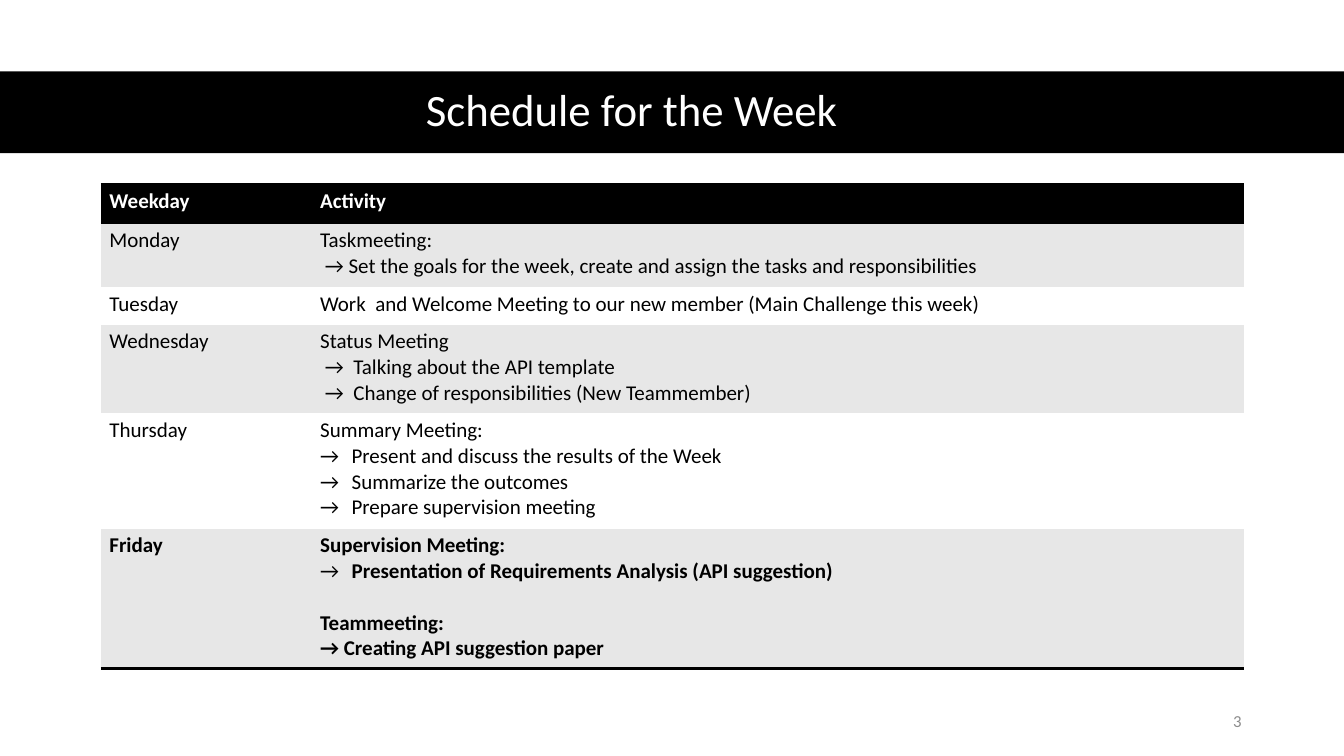
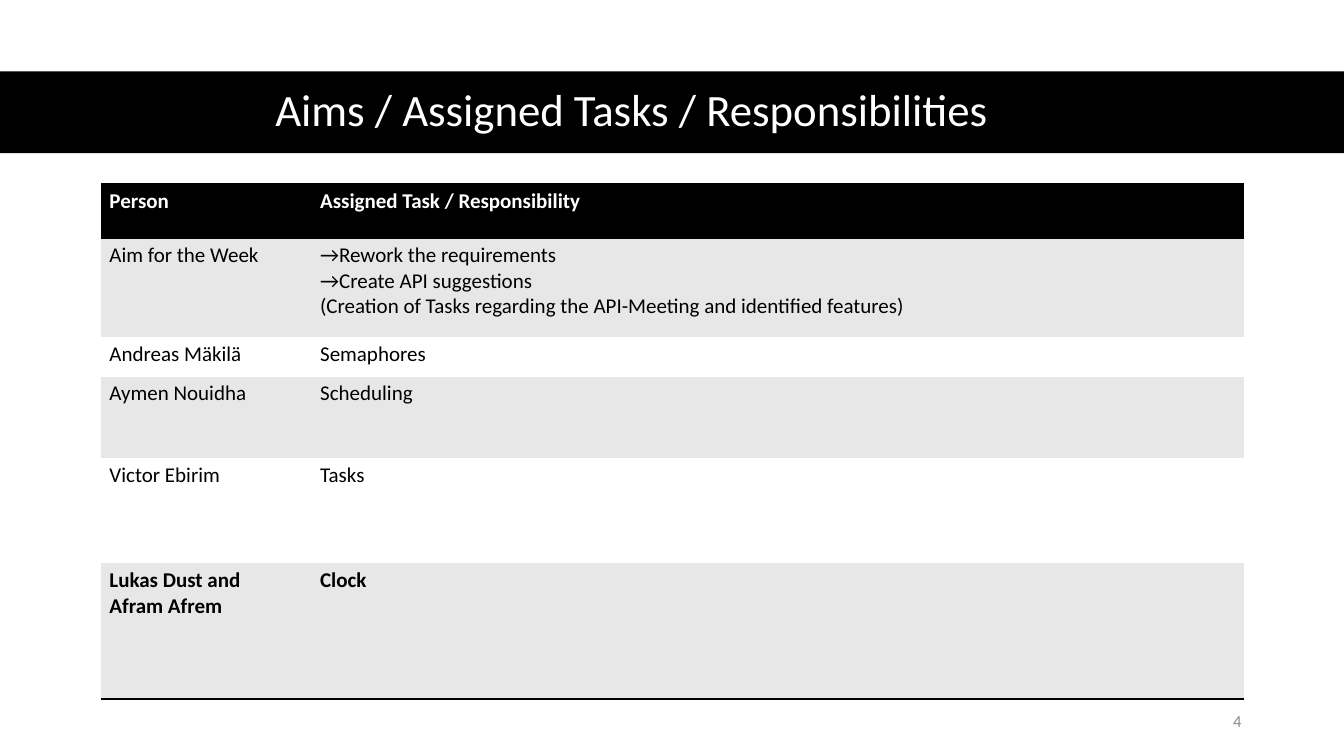
from pptx import Presentation
from pptx.dml.color import RGBColor
from pptx.enum.shapes import MSO_SHAPE as Shape
from pptx.enum.text import MSO_ANCHOR as Anchor, PP_ALIGN as Align
from pptx.oxml.ns import qn
from pptx.util import Pt
from lxml.etree import SubElement

COLORS = {"black": "000000", "white": "FFFFFF", "band": "E7E7E7", "number": "8C8C8C"}
FONT = "Calibri"
NO_STYLE = "{2D5ABB26-0587-4C30-8999-92F81FD0307C}"
W, H = 960, 540
COLUMNS = (150.5, 666)


def rgb(name):
    return RGBColor.from_string(COLORS[name])


def write(tf, lines, size=15, color="black", bold=False, align=Align.LEFT,
          line_spacing=None, after=None):
    """Write one paragraph per line; a line is a string or a dict from item()."""
    for i, line in enumerate(lines):
        if isinstance(line, str):
            line = item(line)
        p = tf.paragraphs[0] if i == 0 else tf.add_paragraph()
        p.alignment = align
        if line_spacing:
            p.line_spacing = line_spacing
        if line["before"]:
            p.space_before = Pt(line["before"])
        if after:
            p.space_after = Pt(after)
        if line["bullet"]:
            add_bullet(p, line["bullet"])
        r = p.add_run()
        r.text = line["text"]
        r.font.name, r.font.size, r.font.bold = FONT, Pt(size), bold
        r.font.color.rgb = rgb(color)


def item(text, bullet=None, before=0):
    return {"text": text, "bullet": bullet, "before": before}


def arrow(text):
    return item(text, bullet="→")


def add_bullet(p, char, indent=22.5):
    pPr = p._p.get_or_add_pPr()
    pPr.set("marL", str(Pt(indent)))
    pPr.set("indent", str(-Pt(indent)))
    SubElement(pPr, qn("a:buFont"), typeface=FONT)
    SubElement(pPr, qn("a:buChar"), char=char)


def add_border(cell, side, width=2):
    ln = SubElement(cell._tc.get_or_add_tcPr(), qn("a:ln" + side), w=str(Pt(width)))
    fill = SubElement(ln, qn("a:solidFill"))
    SubElement(fill, qn("a:srgbClr"), val=COLORS["black"])


class Deck:
    def __init__(self):
        self.prs = Presentation()
        self.prs.slide_width, self.prs.slide_height = Pt(W), Pt(H)
        self.s = None

    def slide(self, title, number):
        self.s = self.prs.slides.add_slide(self.prs.slide_layouts[6])
        self.band(0, 51, W, 58.5)
        # The wide right inset sets the title left of the centre
        self.text(44, 50.5, 882.5, 58.5, title, right=75, size=32, color="white",
                  align=Align.CENTER, line_spacing=0.9)
        self.text(678, 500.5, 216, 28.8, str(number), size=12, color="number",
                  align=Align.RIGHT, after=6)

    def band(self, x, y, w, h):
        sp = self.s.shapes.add_shape(Shape.RECTANGLE, Pt(x), Pt(y), Pt(w), Pt(h))
        sp.shadow.inherit = False
        sp.fill.solid()
        sp.fill.fore_color.rgb = rgb("black")
        sp.line.fill.background()

    def text(self, x, y, w, h, text, right=7.2, **style):
        tf = self.s.shapes.add_textbox(Pt(x), Pt(y), Pt(w), Pt(h)).text_frame
        tf.word_wrap = True
        tf.vertical_anchor = Anchor.MIDDLE
        tf.margin_right = Pt(right)
        write(tf, [text], **style)

    def table(self, rows, heights, x=72, y=131.5):
        """Black header, grey and white bands, bold last row."""
        frame = self.s.shapes.add_table(len(rows), len(COLUMNS), Pt(x), Pt(y),
                                        Pt(sum(COLUMNS)), Pt(sum(heights)))
        table = frame.table
        table._tbl.tblPr.find(qn("a:tableStyleId")).text = NO_STYLE
        for column, width in zip(table.columns, COLUMNS):
            column.width = Pt(width)
        last = len(rows) - 1
        for i, (row, height) in enumerate(zip(rows, heights)):
            table.rows[i].height = Pt(height)
            fill = "black" if i == 0 else "band" if i % 2 else "white"
            for cell, lines in zip(table.rows[i].cells, row):
                if i == 0:
                    add_border(cell, "T")
                if i in (0, last):
                    add_border(cell, "B")
                cell.fill.solid()
                cell.fill.fore_color.rgb = rgb(fill)
                cell.margin_left = cell.margin_right = Pt(6.2)
                cell.margin_top = cell.margin_bottom = Pt(3.1)
                write(cell.text_frame, lines, color="white" if i == 0 else "black",
                      bold=i in (0, last))


deck = Deck()

# Weekly schedule
deck.slide("Schedule for the Week", 3)
deck.table([
    (["Weekday"], ["Activity"]),
    (["Monday"], ["Taskmeeting:",
                  " → Set the goals for the week, create and assign the tasks and responsibilities"]),
    (["Tuesday"], ["Work  and Welcome Meeting to our new member (Main Challenge this week)"]),
    (["Wednesday"], ["Status Meeting",
                     " →  Talking about the API template",
                     " →  Change of responsibilities (New Teammember)"]),
    (["Thursday"], ["Summary Meeting:",
                    arrow("Present and discuss the results of the Week"),
                    arrow("Summarize the outcomes"),
                    arrow("Prepare supervision meeting")]),
    (["Friday"], ["Supervision Meeting:",
                  arrow("Presentation of Requirements Analysis (API suggestion)"),
                  item("Teammeeting:", before=18.3),
                  "→ Creating API suggestion paper"]),
], heights=(28, 45.4, 27, 63.4, 82.4, 100))

# Tasks per person
deck.slide("Aims / Assigned Tasks / Responsibilities", 4)
deck.table([
    (["Person"], ["Assigned Task / Responsibility"]),
    (["Aim for the Week"], ["→Rework the requirements",
                            "→Create API suggestions",
                            "(Creation of Tasks regarding the API-Meeting and identified features)"]),
    (["Andreas Mäkilä"], ["Semaphores"]),
    (["Aymen Nouidha"], ["Scheduling"]),
    (["Victor Ebirim"], ["Tasks"]),
    (["Lukas Dust and", "Afram Afrem"], ["Clock"]),
], heights=(38.5, 70.5, 28.5, 58.5, 75, 97))

deck.prs.save("out.pptx")
